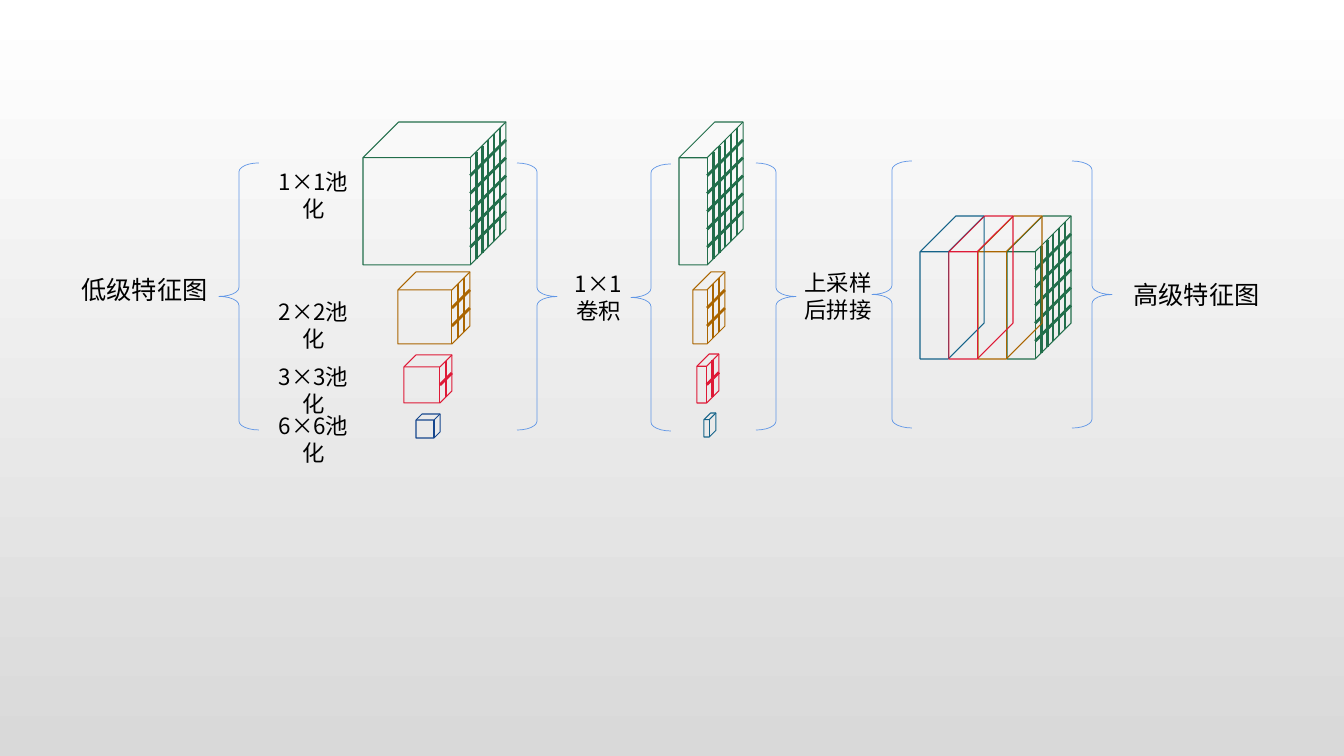
from dataclasses import dataclass
from pptx import Presentation
from pptx.dml.color import RGBColor as RGB
from pptx.enum.shapes import MSO_CONNECTOR as CONN, MSO_SHAPE as SHAPE
from pptx.enum.text import MSO_AUTO_SIZE as AUTO, PP_ALIGN as ALIGN
from pptx.oxml.ns import qn
from pptx.util import Pt
from lxml import etree

PX = 914400 / 100.8  # EMU in one px


@dataclass(frozen=True)
class Theme:
    font: str = "Noto Sans CJK SC"
    title_pt: int = 18
    label_pt: int = 16
    text: str = "000000"
    brace: str = "6096E6"
    brace_pt: float = 0.5
    hairline_pt: int = 0
    green: str = "226E4B"
    amber: str = "AA6500"
    red: str = "DE1A37"
    navy: str = "16468D"
    blue: str = "156389"
    bg_top: str = "FFFFFF"
    bg_bottom: str = "D9D9D9"


T = Theme()
THIN = 0.559  # depth ratio of the convolved cubes
BRACE_W, BRACE_H = 40, 267


def emu(*lengths):
    return [round(n * PX) for n in lengths]


def style_line(s, color, width):
    s.line.color.rgb = RGB.from_string(color)
    s.line.width = Pt(width)


def add_label(slide, box, lines, size):
    s = slide.shapes.add_textbox(*emu(*box))
    tf = s.text_frame
    tf.word_wrap = True
    tf.auto_size = AUTO.SHAPE_TO_FIT_TEXT
    tf.text = lines
    for p in tf.paragraphs:
        p.alignment = ALIGN.CENTER
        for r in p.runs:
            r.font.size = Pt(size)
            r.font.name = T.font
            r.font.color.rgb = RGB.from_string(T.text)
            ea = etree.SubElement(r.font._element, qn("a:ea"))
            ea.set("typeface", T.font)


def add_outline(slide, kind, box, adjustments, color, width):
    s = slide.shapes.add_shape(kind, *emu(*box))
    s.shadow.inherit = False
    s.fill.background()
    style_line(s, color, width)
    for i, value in enumerate(adjustments):
        s.adjustments[i] = value
    return s


def add_brace(slide, x, y, closing=False):
    s = add_outline(slide, SHAPE.LEFT_BRACE, (x, y, BRACE_W, BRACE_H),
                    (0.223, 0.5), T.brace, T.brace_pt)
    s.rotation = 180 if closing else 0


def add_grid_line(slide, x1, y1, x2, y2, color):
    s = slide.shapes.add_connector(CONN.STRAIGHT, *emu(x1, y1, x2, y2))
    style_line(s, color, T.hairline_pt)
    etree.SubElement(s._element.spPr, qn("a:effectLst"))


def add_cube(slide, box, color, cells=1, ratio=0.25):
    """Cube outline whose right face is split into cells x cells."""
    x, y, w, h = box
    add_outline(slide, SHAPE.CUBE, box, (ratio,), color, T.hairline_pt)
    depth = ratio * min(w, h)
    right, face_h = x + w, h - depth
    for i in range(1, cells):
        back = depth * i / cells
        gx, gy = right - depth + back, y + depth - back
        add_grid_line(slide, gx, gy, gx, gy + face_h, color)
        gy = y + face_h * i / cells
        add_grid_line(slide, right, gy, right - depth, gy + depth, color)


def pooling(slide, x, y):
    """Pooling labels and cubes between two braces."""
    add_brace(slide, x, y)
    for n, dy in ((1, 0), (2, 130), (3, 195), (6, 244)):
        add_label(slide, (x + 39, y + dy, 111, 37), f"{n}×{n}池化", T.label_pt)
    for dx, dy, side, color, cells in ((144, -41, 143, T.green, 6),
                                       (179, 109, 72, T.amber, 3),
                                       (185, 192, 48, T.red, 2),
                                       (197, 251, 24, T.navy, 1)):
        add_cube(slide, (x + dx, y + dy, side, side), color, cells)
    add_brace(slide, x + 298, y, closing=True)


def convolution(slide, x, y):
    """Thin cubes between two braces."""
    add_brace(slide, x, y + 1)
    for dx, dy, w, h, color, cells in ((48, -41, 64, 143, T.green, 6),
                                       (62, 109, 32, 72, T.amber, 3),
                                       (66, 191, 22, 49, T.red, 2),
                                       (73, 250, 12, 24, T.blue, 1)):
        add_cube(slide, (x + dx, y + dy, w, h), color, cells, THIN)
    add_brace(slide, x + 125, y, closing=True)


def concatenation(slide, x, y):
    """Four equal slices joined side by side."""
    add_brace(slide, x, y)
    for place, color, cells in ((3, T.green, 6), (2, T.amber, 1),
                                (0, T.blue, 1), (1, T.red, 1)):
        add_cube(slide, (x + 48 + 29 * place, y + 55, 64, 143), color, cells, THIN)
    add_brace(slide, x + 200, y, closing=True)


def background(slide):
    fill = slide.background.fill
    fill.gradient()
    fill.gradient_angle = 270
    for stop, color in zip(fill.gradient_stops, (T.bg_top, T.bg_bottom)):
        stop.color.rgb = RGB.from_string(color)


def main():
    prs = Presentation()
    prs.slide_width, prs.slide_height = emu(1344, 756)
    slide = prs.slides.add_slide(prs.slide_layouts[6])
    background(slide)

    # Stages from left to right
    add_label(slide, (60, 269, 169, 40), "低级特征图", T.title_pt)
    pooling(slide, 219, 163)
    add_label(slide, (543, 265, 111, 65), "1×1\n卷积", T.label_pt)
    convolution(slide, 631, 163)
    add_label(slide, (765, 264, 146, 65), "上采样\n后拼接", T.label_pt)
    concatenation(slide, 872, 161)
    add_label(slide, (1112, 274, 169, 40), "高级特征图", T.title_pt)

    prs.save("out.pptx")


if __name__ == "__main__":
    main()
